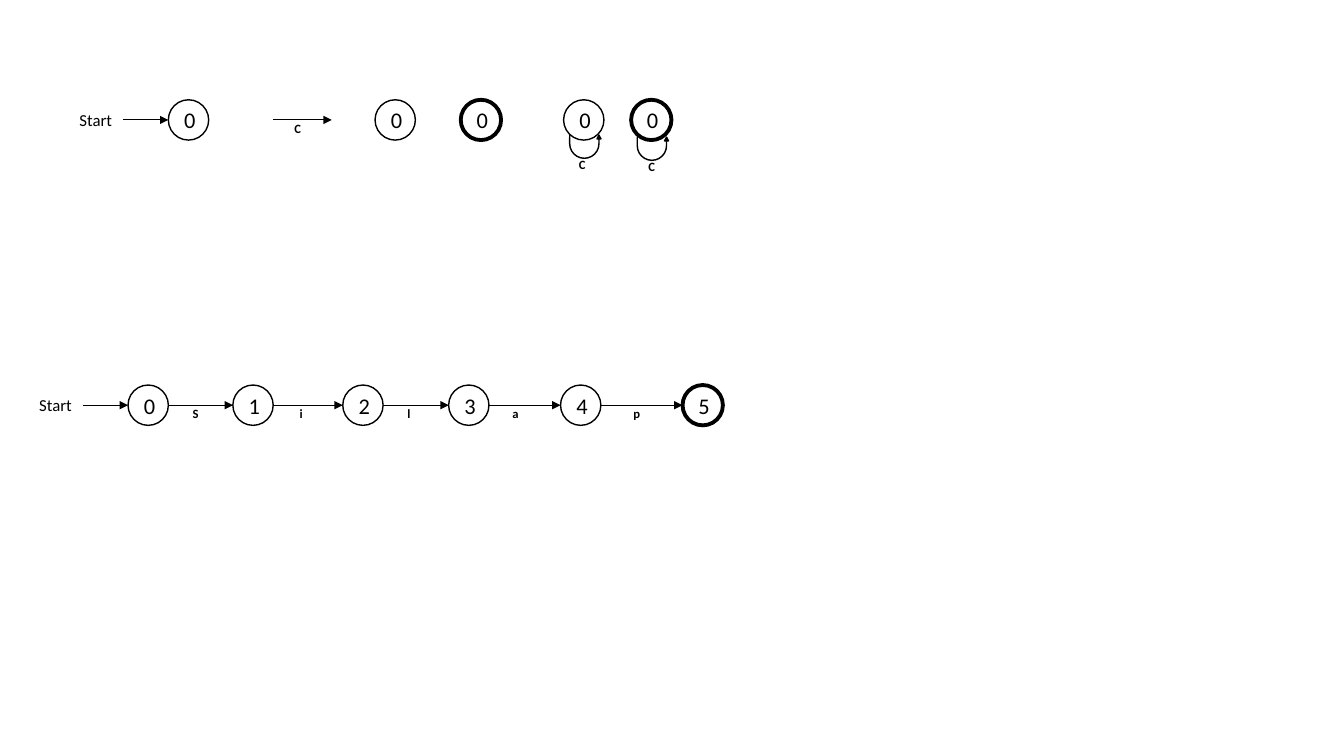
from lxml import etree
from pptx import Presentation
from pptx.dml.color import RGBColor
from pptx.enum.shapes import MSO_CONNECTOR, MSO_SHAPE
from pptx.enum.text import MSO_ANCHOR, MSO_AUTO_SIZE, PP_ALIGN
from pptx.oxml.ns import qn
from pptx.util import Inches, Pt

STRAIGHT = MSO_CONNECTOR.STRAIGHT
OVAL, U_TURN = MSO_SHAPE.OVAL, MSO_SHAPE.U_TURN_ARROW
MIDDLE, CENTER = MSO_ANCHOR.MIDDLE, PP_ALIGN.CENTER
FIT_SHAPE = MSO_AUTO_SIZE.SHAPE_TO_FIT_TEXT
BLACK = "000000"
STATE = 0.4           # diameter of a state
START_WIDTH = 0.53
START_ARROW = 0.45
THIN, THICK = 1, 2.75


def color(hex_code):
    """Turn a hex string into a colour."""
    return RGBColor.from_string(hex_code)


def format_text(frame, text, size, bold=False):
    """Set one line of text and its font; return the paragraph."""
    para = frame.paragraphs[0]
    para.text = text
    span = para.runs[0]
    span.font.name = "Calibri"
    span.font.size = Pt(size)
    span.font.bold = bold
    span.font.color.rgb = color(BLACK)
    return para


def add_label(page, left, top, width, height, text, size, bold=False):
    """Add a text box that fits its unwrapped text."""
    box = page.shapes.add_textbox(Inches(left), Inches(top), Inches(width), Inches(height))
    box.text_frame.word_wrap = False
    box.text_frame.auto_size = FIT_SHAPE
    format_text(box.text_frame, text, size, bold)


def add_symbol(page, left, top, text):
    """Add the small bold symbol of a transition."""
    add_label(page, left, top, 0.16, 0.25, text, 9, True)


def add_arrow(page, left, right, middle):
    """Add a horizontal arrow pointing right."""
    arrow = page.shapes.add_connector(
        STRAIGHT, Inches(left), Inches(middle), Inches(right), Inches(middle))
    arrow.line.color.rgb = color(BLACK)
    arrow.line.width = Pt(0.75)
    etree.SubElement(arrow.line._get_or_add_ln(), qn("a:tailEnd"), type="triangle")
    etree.SubElement(arrow._element.spPr, qn("a:effectLst"))


def add_state(page, left, middle, text, final=False):
    """Add a state circle; a final state has a thick outline."""
    state = page.shapes.add_shape(
        OVAL, Inches(left), Inches(middle - STATE / 2), Inches(STATE), Inches(STATE))
    state.shadow.inherit = False
    state.fill.background()
    state.line.color.rgb = color(BLACK)
    state.line.width = Pt(THICK if final else THIN)
    state.text_frame.vertical_anchor = MIDDLE
    format_text(state.text_frame, text, 16).alignment = CENTER


def add_start(page, left, middle):
    """Add the start label, its arrow and state 0."""
    arrow_left = left + START_WIDTH
    state_left = arrow_left + START_ARROW
    add_label(page, left, middle - 0.15, START_WIDTH, 0.3, "Start", 12)
    add_arrow(page, arrow_left, state_left, middle)
    add_state(page, state_left, middle, "0")
    return state_left


def add_looped_state(page, left, middle, loop_top, symbol_left, final=False):
    """Add a state with a transition back to itself."""
    add_state(page, left, middle, "0", final)
    loop = page.shapes.add_shape(
        U_TURN, Inches(left + 0.06), Inches(loop_top), Inches(0.31), Inches(0.23))
    loop.rotation = 180
    loop._element.spPr.find(qn("a:xfrm")).set("flipH", "1")
    for index, value in enumerate((0, 0.085, 0.164, 0.717, 1)):
        loop.adjustments[index] = value
    loop.shadow.inherit = False
    loop.fill.solid()
    loop.fill.fore_color.rgb = color(BLACK)
    loop.line.color.rgb = color(BLACK)
    loop.line.width = Pt(THIN)
    add_symbol(page, symbol_left, loop_top + 0.17, "C")


def add_legend(page, left, middle):
    """Add one example of each automaton element in a row."""
    add_start(page, left, middle)
    add_arrow(page, left + 2.02, left + 2.6, middle)
    add_symbol(page, left + 2.17, middle - 0.04, "C")
    add_state(page, left + 3.03, middle, "0")
    add_state(page, left + 3.88, middle, "0", True)
    add_looped_state(page, left + 4.9, middle, middle + 0.15, left + 4.99)
    add_looped_state(page, left + 5.57, middle, middle + 0.17, left + 5.68, True)


def add_automaton(page, left, middle, transitions):
    """Add a chain of states; each transition is symbol, its offset and the arrow length."""
    state_left = add_start(page, left, middle)
    for number, (symbol, offset, length) in enumerate(transitions, start=1):
        arrow_left = state_left + STATE
        state_left = arrow_left + length
        add_arrow(page, arrow_left, state_left, middle)
        add_symbol(page, arrow_left + offset, middle - 0.04, symbol)
        add_state(page, state_left, middle, str(number), number == len(transitions))


deck = Presentation()
deck.slide_width, deck.slide_height = Inches(13.33), Inches(7.5)
page = deck.slides.add_slide(deck.slide_layouts[6])
add_legend(page, 0.69, 1.19)
add_automaton(page, 0.29, 4.02, [
    ("S", 0.18, 0.64), ("i", 0.2, 0.69), ("l", 0.18, 0.65),
    ("a", 0.17, 0.71), ("p", 0.26, 0.81)])
deck.save("out.pptx")
